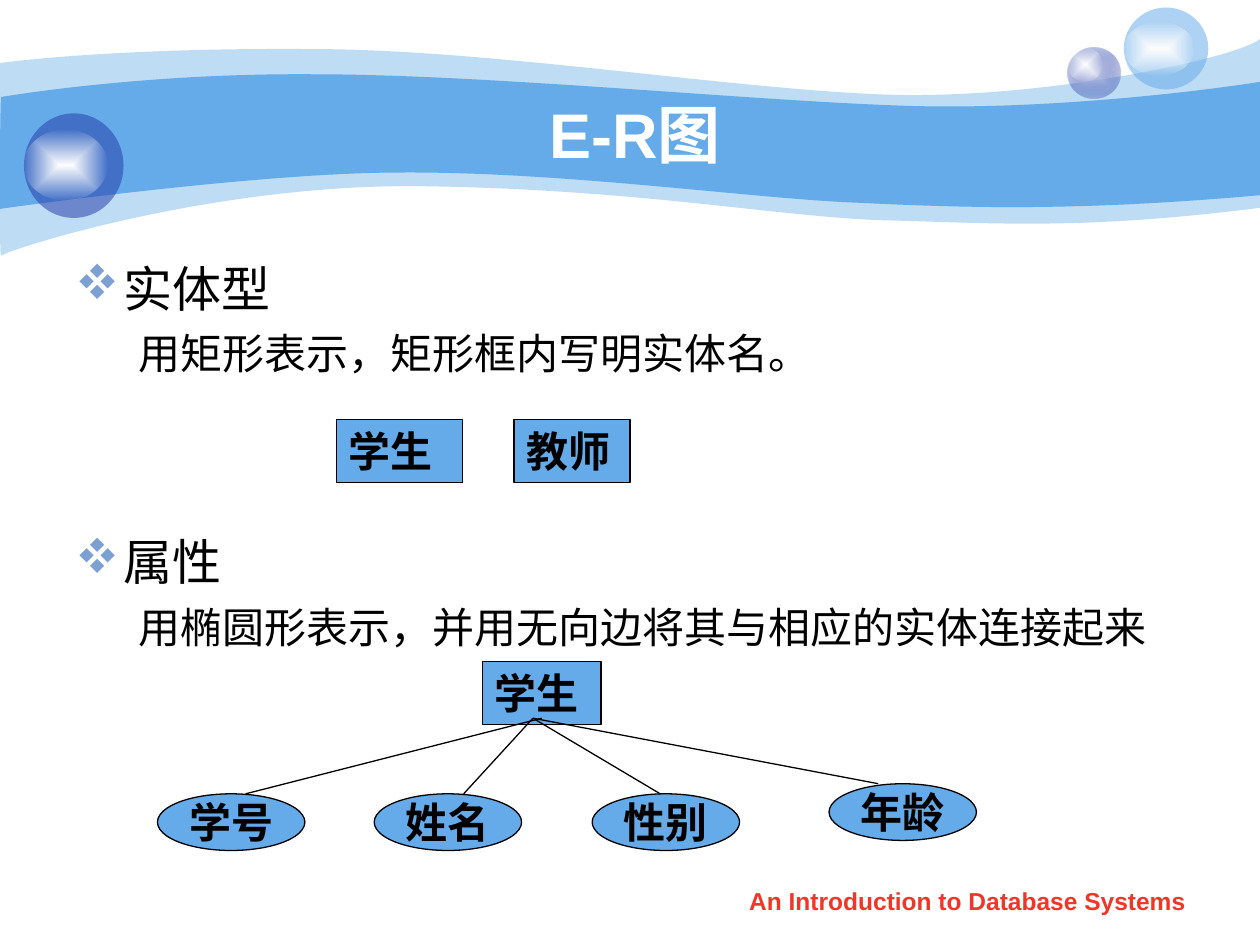
from lxml.etree import SubElement
from pptx import Presentation
from pptx.dml.color import RGBColor
from pptx.enum.shapes import MSO_CONNECTOR as Link, MSO_SHAPE as Kind
from pptx.enum.text import MSO_ANCHOR as Anchor, MSO_AUTO_SIZE as Fit, PP_ALIGN as Align
from pptx.oxml import parse_xml
from pptx.oxml.ns import nsdecls, qn
from pptx.util import Inches, Pt

BLUE, NAVY, BLACK, WHITE = "65AAE9", "233DA9", "000000", "FFFFFF"
GLOW = [(0, WHITE, 100), (100, "FEFEFE", 0)]
WAVES = [
    (41, (0, 0.5), [
        (0.24, 0.47, 1.07, 0.38, 2.47, 0.39), (3.86, 0.39, 5.75, 0.7, 6.99, 0.75),
        (8.22, 0.8, 9.8, 0.47, 10, 0.31), (10, 1.65),
        (8.58, 1.83, 7.87, 1.77, 7.05, 1.75), (6.22, 1.73, 5.15, 1.51, 3.43, 1.48),
        (1.72, 1.44, 0.04, 1.99, 0.01, 2.03), (-0.01, 2.08, 0, 0.75, 0, 0.5)]),
    (100, (0.01, 0.77), [
        (0.02, 0.77, 1.1, 0.58, 2.48, 0.59), (3.86, 0.59, 5.95, 0.8, 7.18, 0.84),
        (8.41, 0.88, 9.76, 0.69, 10, 0.65), (10, 1.55),
        (8.53, 1.68, 7.65, 1.65, 6.82, 1.61), (5.99, 1.58, 4.47, 1.36, 3.17, 1.37),
        (2.03, 1.37, -0.02, 1.66, -0.01, 1.66), (0, 1.66, 0, 0.77, 0.01, 0.77)]),
]
BALLS = [
    ((8.47, 0.38, 0.42, 0.4), [(0, "C6CCE8", 100), (100, NAVY, 31)]),
    ((8.47, 0.38, 0.28, 0.27), GLOW),
    ((8.92, 0.06, 0.67, 0.65), [(0, BLUE, 53)]),
    ((8.92, 0.17, 0.56, 0.43), GLOW),
    ((0.19, 0.9, 0.79, 0.83), [(0, NAVY, 53)]),
    ((0.19, 1.03, 0.66, 0.56), GLOW),
]
TITLE = "E-R图"
BODY = [
    ("实体型", "head", 0), ("用矩形表示，矩形框内写明实体名。", "note", 6),
    ("属性", "head", 88), ("用椭圆形表示，并用无向边将其与相应的实体连接起来", "note", 6),
]
LEVELS = {"head": (28, 0.38, -0.38, "v"), "note": (24, 0.81, -0.31, None)}
RECTS = [("学生", 2.67, 3.33, 1), ("教师", 4.08, 3.33, 0.92), ("学生", 3.83, 5.25, 0.94)]
OVALS = [("学号", 1.25, 6.3), ("年龄", 6.58, 6.22), ("性别", 4.7, 6.3), ("姓名", 2.97, 6.3)]
OVAL_W, OVAL_H = 1.17, 0.45
EDGES = [(4.3, 1.95, 6.3), (4.23, 3.68, 6.3), (4.23, 5.24, 6.3), (4.23, 6.97, 6.22)]
ROOT_Y = 5.7
FOOTER = "An Introduction to Database Systems"
NODE = {"name": "Times New Roman", "size": Pt(24), "bold": True}


def rgb(code):
    return RGBColor.from_string(code)


def place(box):
    return [Inches(v) for v in box]


def style(font, color, **look):
    for key, value in look.items():
        setattr(font, key, value)
    font.color.rgb = rgb(color)


def flat(shape, color, alpha=100):
    shape.shadow.inherit = False
    shape.line.fill.background()
    shape.fill.solid()
    shape.fill.fore_color.rgb = rgb(color)
    if alpha < 100:
        tint = shape.element.spPr.find(".//" + qn("a:srgbClr"))
        SubElement(tint, qn("a:alpha"), val=str(alpha * 1000))


def glow(shape, stops):
    shape.shadow.inherit = False
    shape.line.fill.background()
    marks = "".join(
        f'<a:gs pos="{pos * 1000}"><a:srgbClr val="{color}">'
        f'<a:alpha val="{alpha * 1000}"/></a:srgbClr></a:gs>'
        for pos, color, alpha in stops)
    grad = parse_xml(
        f'<a:gradFill {nsdecls("a")} rotWithShape="1"><a:gsLst>{marks}</a:gsLst>'
        '<a:path path="rect"><a:fillToRect l="50000" t="50000" r="50000" b="50000"/>'
        '</a:path></a:gradFill>')
    shape.element.spPr.find(qn("a:prstGeom")).addnext(grad)


def wave(shapes, alpha, start, parts):
    dots = [place(part[i:i + 2]) for part in parts for i in range(0, len(part), 2)]
    pen = shapes.build_freeform(*place(start), scale=1.0)
    pen.add_line_segments(dots, close=True)
    shape = pen.convert_to_shape()
    legs = iter(shape.element.spPr.findall(".//" + qn("a:lnTo")))
    for part in parts:
        leg = next(legs)
        if len(part) == 6:
            curve = parse_xml(f'<a:cubicBezTo {nsdecls("a")}/>')
            leg.addprevious(curve)
            for bit in (leg, next(legs), next(legs)):
                curve.append(bit[0])
                bit.getparent().remove(bit)
    flat(shape, BLUE, alpha)


def node(shapes, kind, text, box, align, anchor, wrap):
    shape = shapes.add_shape(kind, *place(box))
    flat(shape, BLUE)
    shape.line.color.rgb = rgb(BLACK)
    shape.line.width = Pt(0.75)
    frame = shape.text_frame
    frame.word_wrap, frame.vertical_anchor = wrap, anchor
    para = frame.paragraphs[0]
    para.text, para.alignment = text, align
    style(para.font, BLACK, **NODE)


def edge(shapes, *ends):
    line = shapes.add_connector(Link.STRAIGHT, *place(ends))
    line.line.color.rgb = rgb(BLACK)
    line.line.width = Pt(0.75)
    SubElement(line.element.spPr, qn("a:effectLst"))


def body(shapes):
    frame = shapes.add_textbox(*place((0.5, 2, 9, 4.92))).text_frame
    frame.word_wrap = True
    for i, (text, level, gap) in enumerate(BODY):
        para = frame.add_paragraph() if i else frame.paragraphs[0]
        size, left, hang, mark = LEVELS[level]
        para.text, para.space_before = text, Pt(gap)
        props = para._p.get_or_add_pPr()
        props.set("marL", str(Inches(left)))
        props.set("indent", str(Inches(hang)))
        if mark:
            tint = SubElement(props, qn("a:buClr"))
            SubElement(tint, qn("a:srgbClr"), val="7DA0D3")
            SubElement(props, qn("a:buFont"), typeface="Wingdings", charset="2")
            SubElement(props, qn("a:buChar"), char=mark)
        else:
            SubElement(props, qn("a:buNone"))
        style(para.font, BLACK, name="Arial", size=Pt(size))


def label(shape, text, color, size):
    frame = shape.text_frame
    frame.word_wrap, frame.auto_size = True, Fit.NONE
    para = frame.paragraphs[0]
    para.text, para.alignment = text, Align.CENTER
    style(para.font, color, name="Arial", size=Pt(size), bold=True)


def main():
    deck = Presentation()
    deck.slide_width, deck.slide_height = Inches(10), Inches(7.5)
    slide = deck.slides.add_slide(deck.slide_layouts[5])
    shapes = slide.shapes
    for item in WAVES:
        wave(shapes, *item)
    for box, stops in BALLS:
        ball = shapes.add_shape(Kind.OVAL, *place(box))
        if len(stops) == 1:
            flat(ball, *stops[0][1:])
        else:
            glow(ball, stops)
    title = shapes.title
    title.element.getparent().append(title.element)
    title.left, title.top, title.width, title.height = place((1, 0.75, 8.08, 0.62))
    label(title, TITLE, WHITE, 36)
    title.text_frame.vertical_anchor = Anchor.MIDDLE
    body(shapes)
    for text, x, y, width in RECTS:
        node(shapes, Kind.RECTANGLE, text, (x, y, width, 0.5), Align.LEFT, Anchor.TOP, True)
    for text, x, y in OVALS:
        box = (x, y, OVAL_W, OVAL_H)
        node(shapes, Kind.OVAL, text, box, Align.CENTER, Anchor.MIDDLE, False)
    for root, x, y in EDGES:
        edge(shapes, root, ROOT_Y, x, y)
    label(shapes.add_textbox(*place((5.71, 6.98, 3.94, 0.35))), FOOTER, "F03628", 14)
    deck.save("out.pptx")


if __name__ == "__main__":
    main()
